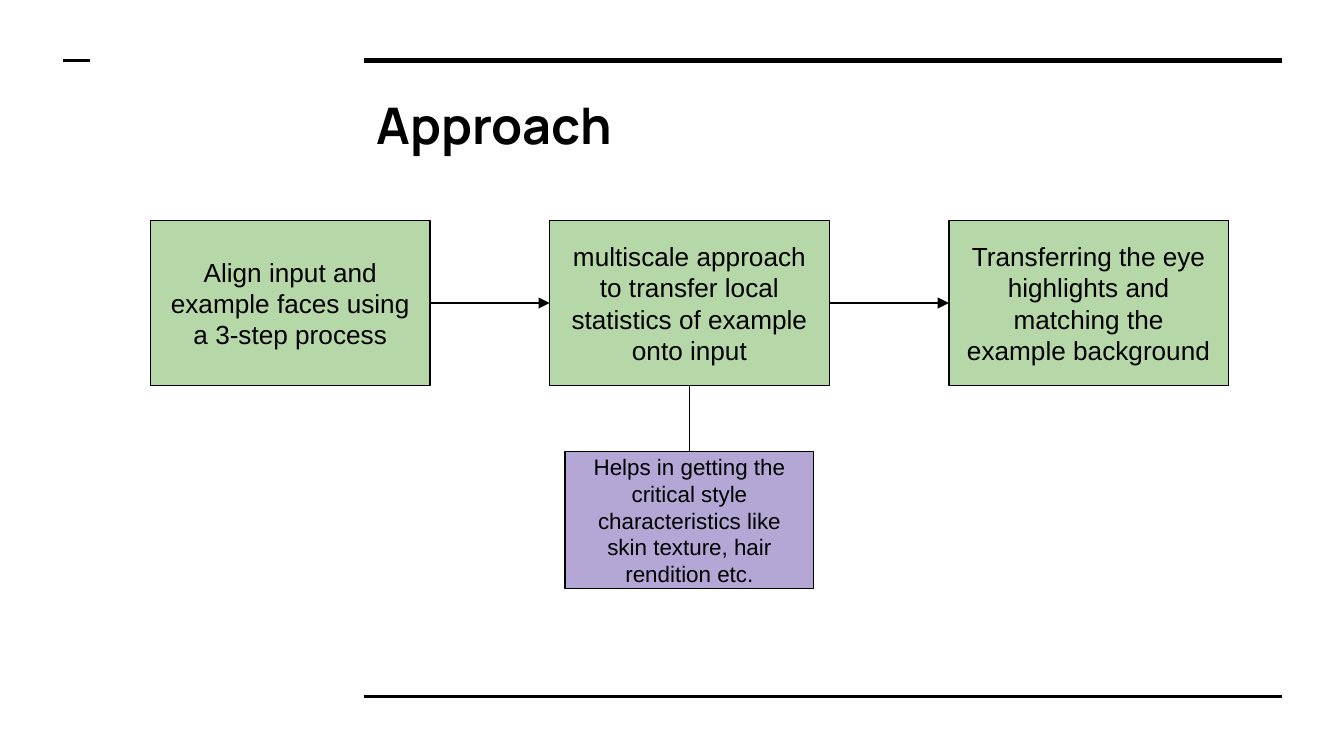
"""Build the Approach slide: a three-step flow with a note under the middle step."""
from lxml import etree
from pptx import Presentation
from pptx.dml.color import RGBColor
from pptx.enum.shapes import MSO_CONNECTOR, MSO_SHAPE
from pptx.enum.text import MSO_ANCHOR, MSO_AUTO_SIZE, PP_ALIGN
from pptx.oxml.ns import qn
from pptx.util import Inches, Pt

STRAIGHT = MSO_CONNECTOR.STRAIGHT
RECTANGLE = MSO_SHAPE.RECTANGLE
TOP, MIDDLE = MSO_ANCHOR.TOP, MSO_ANCHOR.MIDDLE
NO_AUTOFIT = MSO_AUTO_SIZE.NONE
LEFT, CENTER = PP_ALIGN.LEFT, PP_ALIGN.CENTER

TITLE = "Approach"
STEPS = [
    "Align input and example faces using a 3-step process",
    "multiscale approach to transfer local statistics of example onto input",
    "Transferring the eye highlights and matching the example background",
]
NOTE = ("Helps in getting the critical style characteristics like "
        "skin texture, hair rendition etc.")
COLORS = {"ink": "000000", "step": "B6D7A8", "note": "B4A7D6"}
RULES = [(2.71, 9.54, 0.45, 3), (2.71, 9.54, 5.18, 1.5), (0.47, 0.67, 0.45, 1.5)]

STEP_X, STEP_Y, STEP_W, STEP_H, STEP_PITCH = 1.12, 1.64, 2.08, 1.23, 2.97
NOTE_Y, NOTE_W, NOTE_H = 3.36, 1.85, 1.02


def rgb(name):
    return RGBColor.from_string(COLORS[name])


def set_text(sp, text, size, font, align, anchor, bold=False):
    tf = sp.text_frame
    tf.text = text
    tf.word_wrap = True
    tf.auto_size = NO_AUTOFIT
    tf.vertical_anchor = anchor
    tf.margin_left = tf.margin_right = tf.margin_top = tf.margin_bottom = Inches(0.1)
    p = tf.paragraphs[0]
    p.alignment = align
    p.font.size, p.font.name, p.font.bold = Pt(size), font, bold
    p.font.color.rgb = rgb("ink")


def add_line(s, x1, y1, x2, y2, width=0.75, arrow=False):
    line = s.shapes.add_connector(STRAIGHT, Inches(x1), Inches(y1), Inches(x2), Inches(y2))
    line.line.color.rgb = rgb("ink")
    line.line.width = Pt(width)
    if arrow:
        etree.SubElement(line.line._get_or_add_ln(), qn("a:tailEnd"), type="triangle")
    etree.SubElement(line._element.spPr, qn("a:effectLst"))


def add_box(s, text, x, y, w, h, fill, size):
    sp = s.shapes.add_shape(RECTANGLE, Inches(x), Inches(y), Inches(w), Inches(h))
    sp.shadow.inherit = False
    sp.fill.solid()
    sp.fill.fore_color.rgb = rgb(fill)
    sp.line.color.rgb = rgb("ink")
    sp.line.width = Pt(0.75)
    set_text(sp, text, size, "Arial", CENTER, MIDDLE)


def main():
    prs = Presentation()
    prs.slide_width = Inches(10)
    prs.slide_height = Inches(10 * 9 / 16)
    s = prs.slides.add_slide(prs.slide_layouts[5])

    title = s.shapes.title
    title.left, title.top = Inches(2.7), Inches(0.6)
    title.width, title.height = Inches(6.91), Inches(0.69)
    set_text(title, TITLE, 27, "Manrope", LEFT, TOP, bold=True)

    for x1, x2, y, width in RULES:
        add_line(s, x1, y, x2, y, width)

    lefts = [STEP_X + i * STEP_PITCH for i in range(len(STEPS))]
    for text, x in zip(STEPS, lefts):
        add_box(s, text, x, STEP_Y, STEP_W, STEP_H, "step", 14)

    middle_y = STEP_Y + STEP_H / 2
    for x, next_x in zip(lefts, lefts[1:]):
        add_line(s, x + STEP_W, middle_y, next_x, middle_y, arrow=True)

    center_x = lefts[1] + STEP_W / 2
    add_box(s, NOTE, center_x - NOTE_W / 2, NOTE_Y, NOTE_W, NOTE_H, "note", 12)
    add_line(s, center_x, STEP_Y + STEP_H, center_x, NOTE_Y)

    prs.save("out.pptx")


if __name__ == "__main__":
    main()
